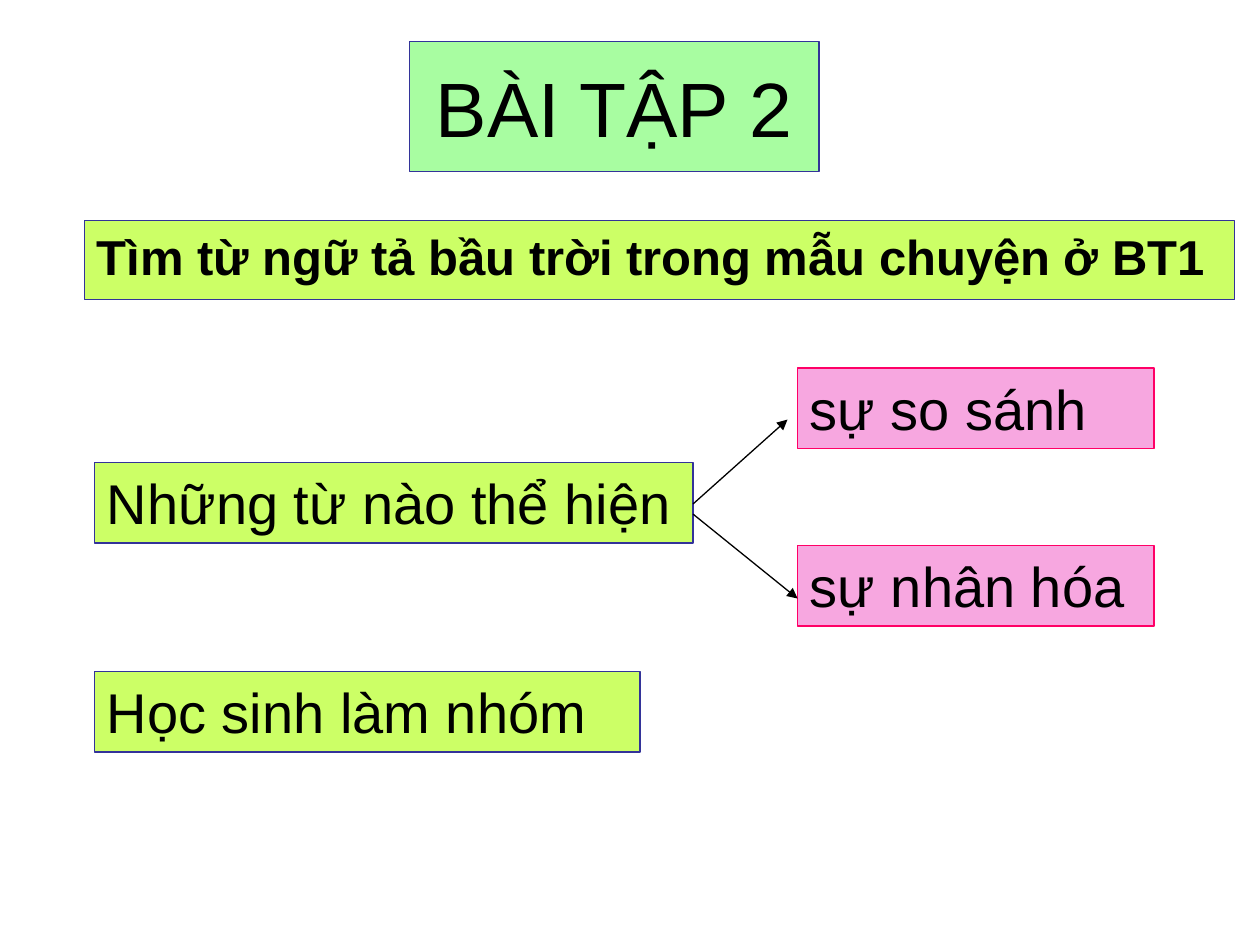
from lxml import etree
from pptx import Presentation
from pptx.dml.color import RGBColor
from pptx.enum.shapes import MSO_CONNECTOR, MSO_SHAPE
from pptx.enum.text import MSO_ANCHOR, PP_ALIGN
from pptx.oxml.ns import qn
from pptx.util import Inches, Pt

RECT = MSO_SHAPE.RECTANGLE
LINE = MSO_CONNECTOR.STRAIGHT
TOP, MIDDLE = MSO_ANCHOR.TOP, MSO_ANCHOR.MIDDLE
LEFT, CENTER = PP_ALIGN.LEFT, PP_ALIGN.CENTER

FONT = "Arial"
BLACK, NAVY, ROSE = "000000", "333399", "FF0066"
MINT, LIME, PINK = "A8FDA1", "CCFF66", "F7A7E0"


def color(target, value):
    target.rgb = RGBColor.from_string(value)


def add_box(slide, text, place, fill, line=NAVY, size=32, bold=False,
            align=LEFT, anchor=TOP):
    box = slide.shapes.add_shape(RECT, *map(Inches, place))
    box.shadow.inherit = False
    box.fill.solid()
    color(box.fill.fore_color, fill)
    color(box.line.color, line)
    box.line.width = Pt(0.75)
    frame = box.text_frame
    frame.word_wrap = True
    frame.vertical_anchor = anchor
    frame.text = text
    para = frame.paragraphs[0]
    para.alignment = align
    font = para.runs[0].font
    font.name = FONT
    font.size = Pt(size)
    font.bold = bold
    color(font.color, BLACK)


def add_arrow(slide, start, end):
    arrow = slide.shapes.add_connector(LINE, *map(Inches, start + end))
    color(arrow.line.color, BLACK)
    arrow.line.width = Pt(0.75)
    props = arrow.element.spPr
    etree.SubElement(props.find(qn("a:ln")), qn("a:tailEnd"), type="triangle")
    etree.SubElement(props, qn("a:effectLst"))


def main():
    deck = Presentation()
    deck.slide_width, deck.slide_height = Inches(10), Inches(7.5)
    slide = deck.slides.add_slide(deck.slide_layouts[6])

    add_box(slide, "BÀI TẬP 2", (3.25, 0.33, 3.25, 1.03), MINT,
            size=44, align=CENTER, anchor=MIDDLE)
    add_box(slide, "Tìm từ ngữ tả bầu trời trong mẫu chuyện ở BT1",
            (0.67, 1.75, 9.13, 0.63), LIME, size=28, bold=True)
    add_box(slide, "Học sinh làm nhóm", (0.75, 5.33, 4.33, 0.64), LIME)
    add_box(slide, "Những từ nào thể hiện", (0.75, 3.67, 4.75, 0.64), LIME)
    for text, top in (("sự so sánh", 2.92), ("sự nhân hóa", 4.33)):
        add_box(slide, text, (6.33, top, 2.83, 0.64), PINK, ROSE)

    add_arrow(slide, (5.5, 4), (6.25, 3.33))
    add_arrow(slide, (5.5, 4.08), (6.33, 4.75))
    deck.save("out.pptx")


if __name__ == "__main__":
    main()
